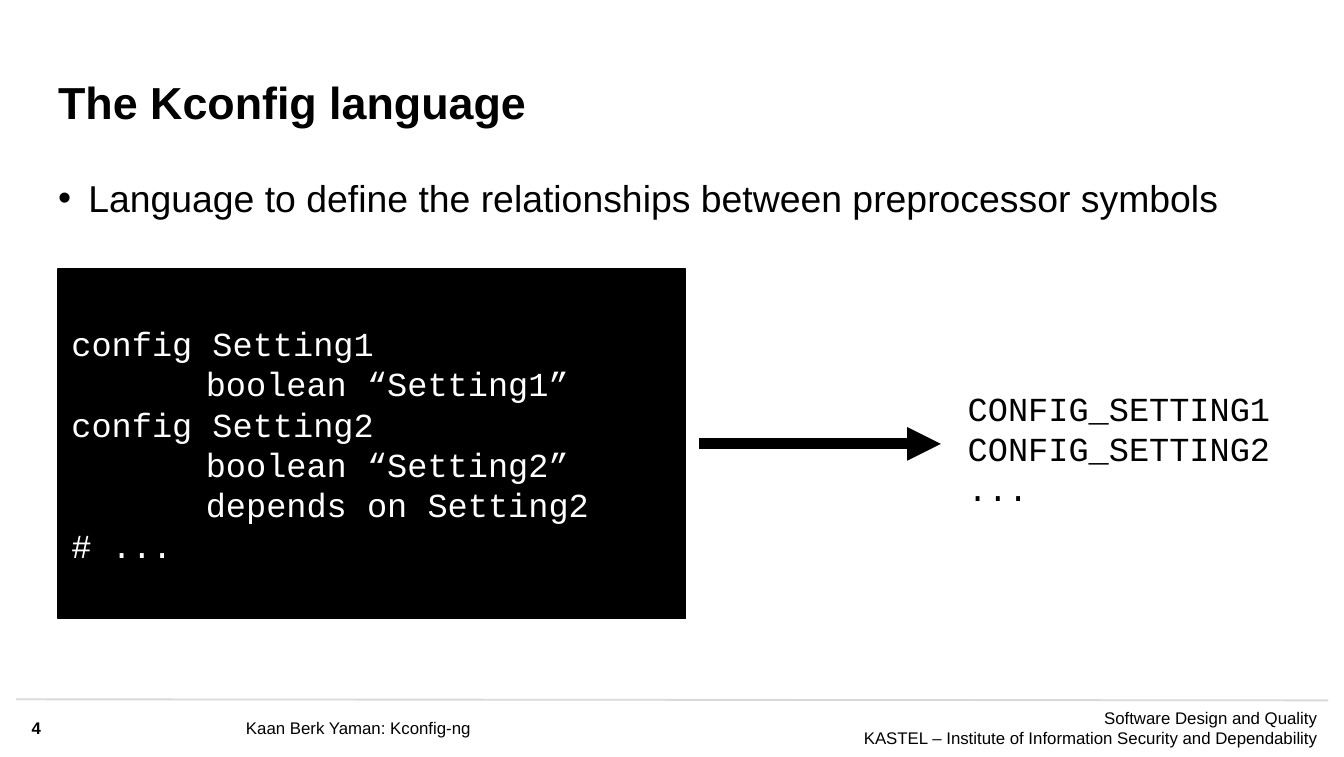
from lxml import etree
from pptx import Presentation
from pptx.dml.color import RGBColor
from pptx.enum.shapes import MSO_CONNECTOR, MSO_SHAPE
from pptx.enum.text import MSO_ANCHOR, PP_ALIGN
from pptx.oxml.ns import qn
from pptx.util import Cm, Pt

LINE = MSO_CONNECTOR.STRAIGHT
RECT = MSO_SHAPE.RECTANGLE
TOP, MID = MSO_ANCHOR.TOP, MSO_ANCHOR.MIDDLE
LEFT, RIGHT = PP_ALIGN.LEFT, PP_ALIGN.RIGHT
SANS, MONO = "Arial", "Courier New"
BLACK, WHITE, GREY = "000000", "FFFFFF", "D9D9D9"
WIDE, HIGH = 25.4, 14.3
EDGE = 1.1

CODE = [
    "config Setting1",
    "\tboolean “Setting1”",
    "config Setting2",
    "\tboolean “Setting2”",
    "\tdepends on Setting2",
    "# ...",
]
SYMBOLS = ["CONFIG_SETTING1", "CONFIG_SETTING2", "..."]


def color(code):
    return RGBColor.from_string(code)


def add_bullet(para):
    props = para._p.get_or_add_pPr()
    props.set("marL", str(Cm(0.57)))
    props.set("indent", str(-Cm(0.57)))
    etree.SubElement(props, qn("a:buFont"), typeface=SANS)
    etree.SubElement(props, qn("a:buChar"), char="•")


def add_tab(para):
    tabs = etree.SubElement(para._p.get_or_add_pPr(), qn("a:tabLst"))
    etree.SubElement(tabs, qn("a:tab"), pos=str(Cm(2.54)), algn="l")


def write(shape, lines, size, font=SANS, ink=BLACK, bold=False, align=LEFT,
          anchor=TOP, inset=(0, 0), wrap=True, bullet=False):
    frame = shape.text_frame
    frame.word_wrap = wrap
    frame.vertical_anchor = anchor
    frame.margin_left = frame.margin_right = Cm(inset[0])
    frame.margin_top = frame.margin_bottom = Cm(inset[1])
    for i, line in enumerate(lines):
        para = frame.paragraphs[0] if i == 0 else frame.add_paragraph()
        para.text = line
        para.alignment = align
        if bullet:
            add_bullet(para)
        if "\t" in line:
            add_tab(para)
        para.font.name = font
        para.font.size = Pt(size)
        para.font.bold = bold
        para.font.color.rgb = color(ink)


def add_text(slide, box, lines, size, **style):
    shape = slide.shapes.add_textbox(*map(Cm, box))
    write(shape, lines, size, **style)


def add_line(slide, start, end, ink, width, arrow=False):
    line = slide.shapes.add_connector(LINE, *map(Cm, start + end))
    line.line.color.rgb = color(ink)
    line.line.width = Pt(width)
    if arrow:
        etree.SubElement(line.line._get_or_add_ln(), qn("a:tailEnd"), type="triangle")
    etree.SubElement(line._element.spPr, qn("a:effectLst"))


def add_head(slide, box):
    left, top, width, height = box
    # Title
    add_text(slide, (left, top, 18.69, 2.31), ["The Kconfig language"], 24,
             bold=True, anchor=MID)
    # Bullet
    add_text(slide, (left, top + 2.55, width, height - 2.55),
             ["Language to define the relationships between preprocessor symbols"],
             20, bullet=True)


def add_flow(slide, box):
    left, top, width, height = box
    pad = (0.25, 0.13)
    # Code block
    code = slide.shapes.add_shape(RECT, *map(Cm, (left, top, 11.86, height)))
    code.shadow.inherit = False
    code.fill.solid()
    code.fill.fore_color.rgb = color(BLACK)
    code.line.color.rgb = color(BLACK)
    code.line.width = Pt(0)
    write(code, CODE, 18, font=MONO, ink=WHITE, anchor=MID, inset=pad)
    # Arrow, just clear of the code block
    mid = top + height / 2
    add_line(slide, (left + 12.11, mid), (left + 16.68, mid), BLACK, 6, arrow=True)
    # Resulting symbols
    add_text(slide, (left + width - 6.22, top + 2.11, 6.22, 2.41), SYMBOLS, 18,
             font=MONO, inset=pad, wrap=False)


def add_foot(slide, box):
    left, top, width, height = box
    add_line(slide, (left, top), (left + width, top + 0.02), GREY, 1)
    # Page number and speaker
    add_text(slide, (left + 0.3, top, 0.9, height), ["4"], 9, bold=True, anchor=MID)
    add_text(slide, (left + 4.35, top, 10.85, height),
             ["Kaan Berk Yaman: Kconfig-ng"], 9, anchor=MID)
    # Institute
    add_text(slide, (left + 14.98, top - 0.12, 9.86, 1.32),
             ["Software Design and Quality",
              "KASTEL – Institute of Information Security and Dependability"],
             9, align=RIGHT, anchor=MID, inset=(0.25, 0.13))


def main():
    deck = Presentation()
    deck.slide_width, deck.slide_height = Cm(WIDE), Cm(HIGH)
    slide = deck.slides.add_slide(deck.slide_layouts[6])
    add_head(slide, (EDGE, 0.76, 23.2, 11.89))
    add_flow(slide, (EDGE, 5.08, 23.16, 6.61))
    add_foot(slide, (0.3, 13.21, WIDE - 0.6, 1.09))
    deck.save("out.pptx")


if __name__ == "__main__":
    main()
